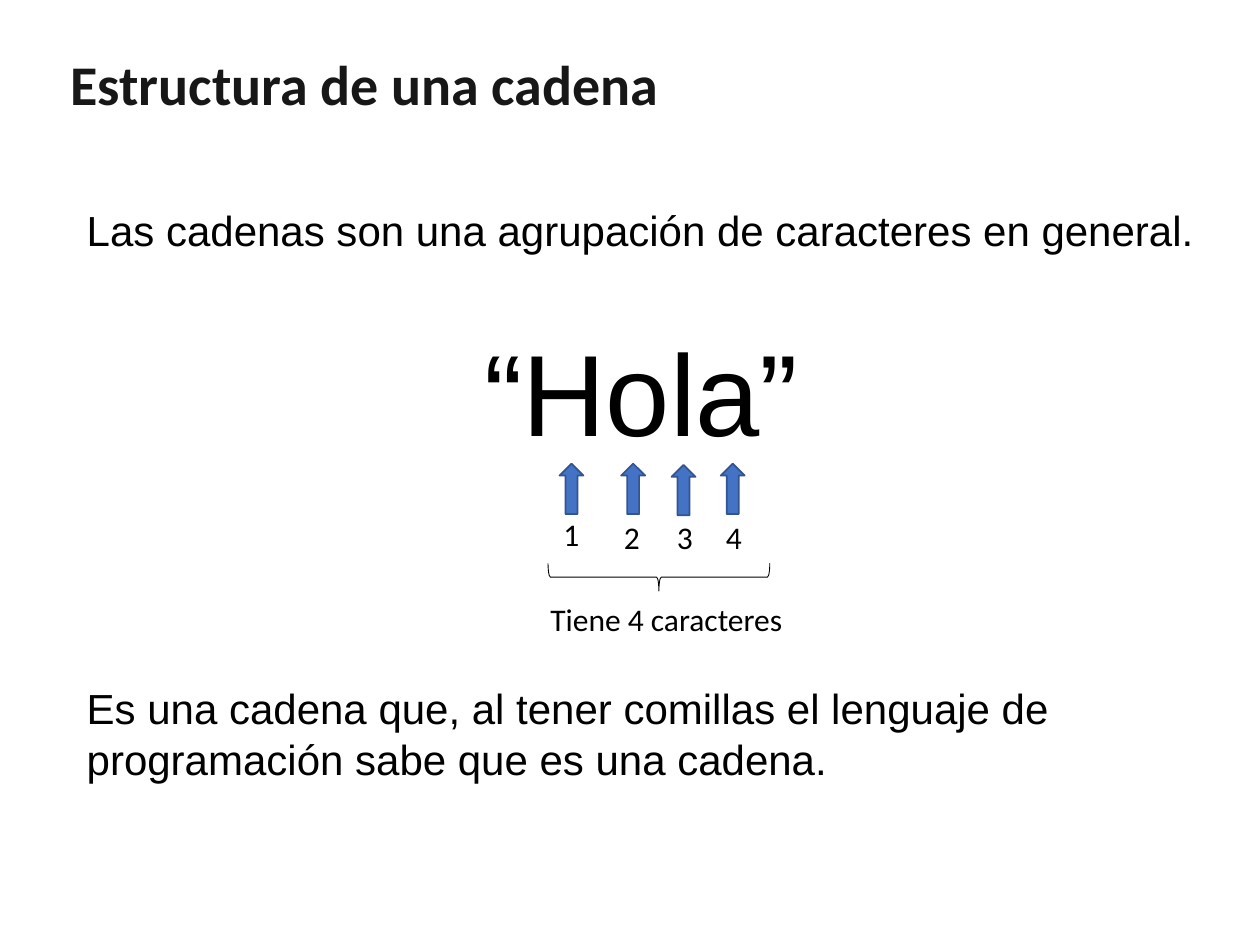
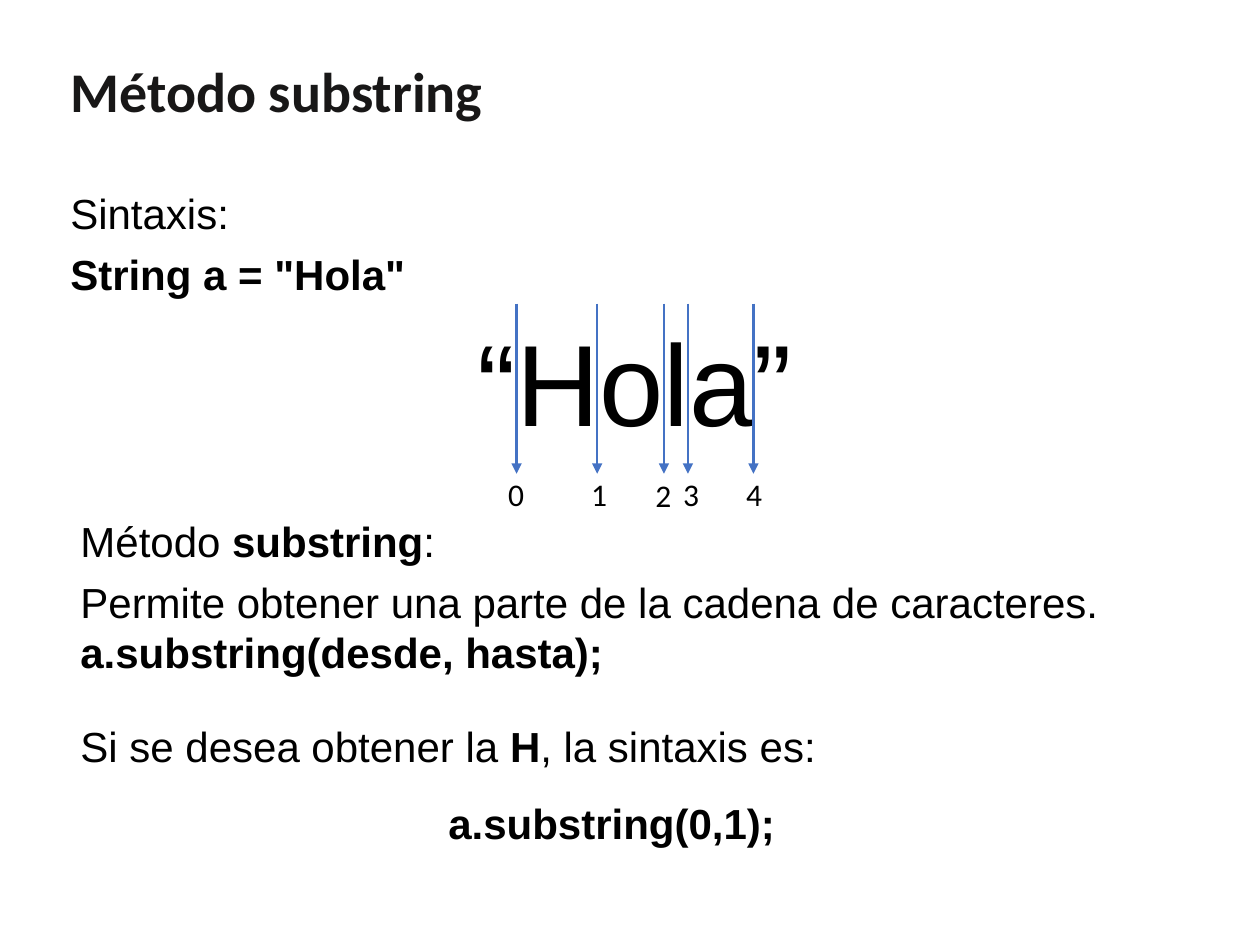
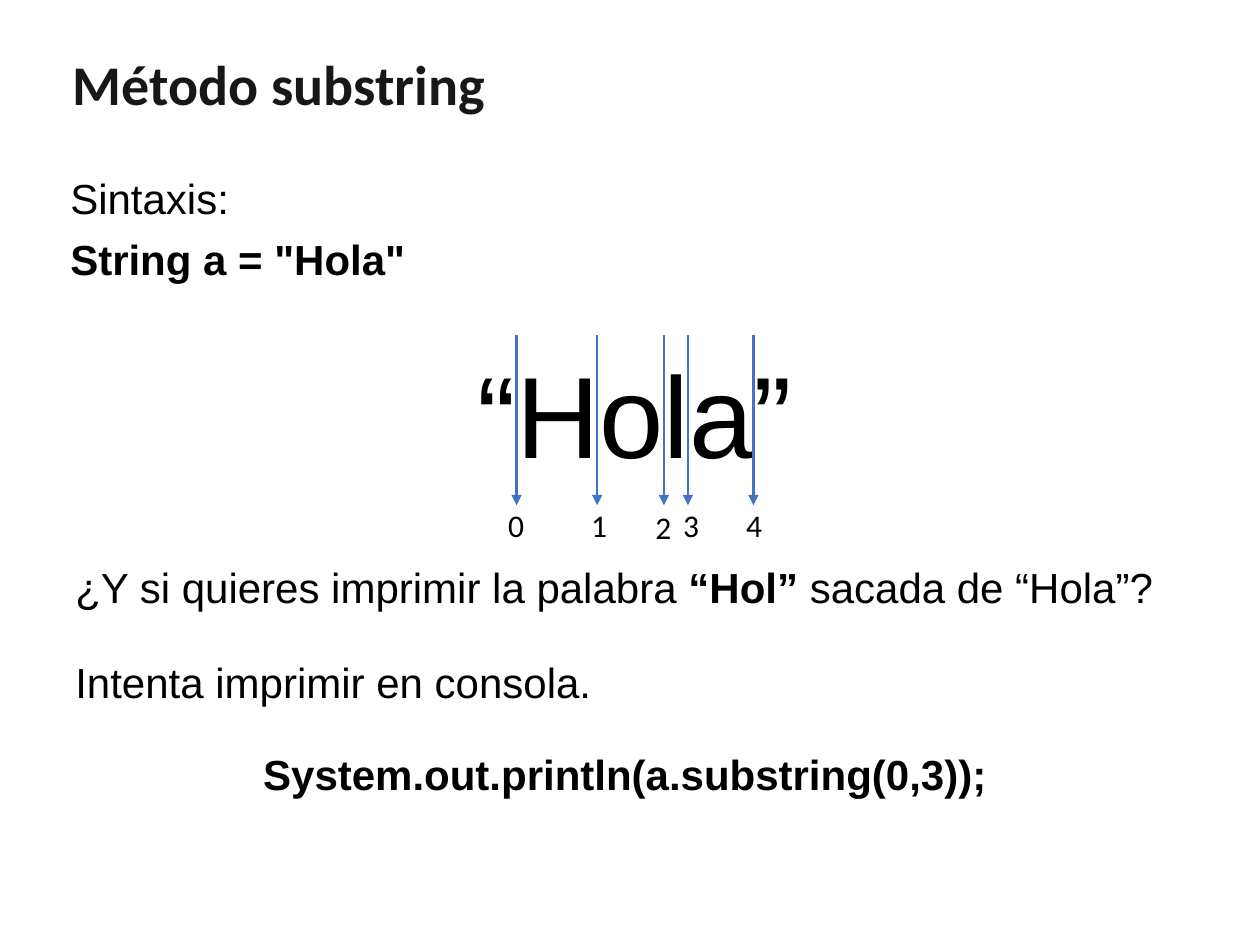
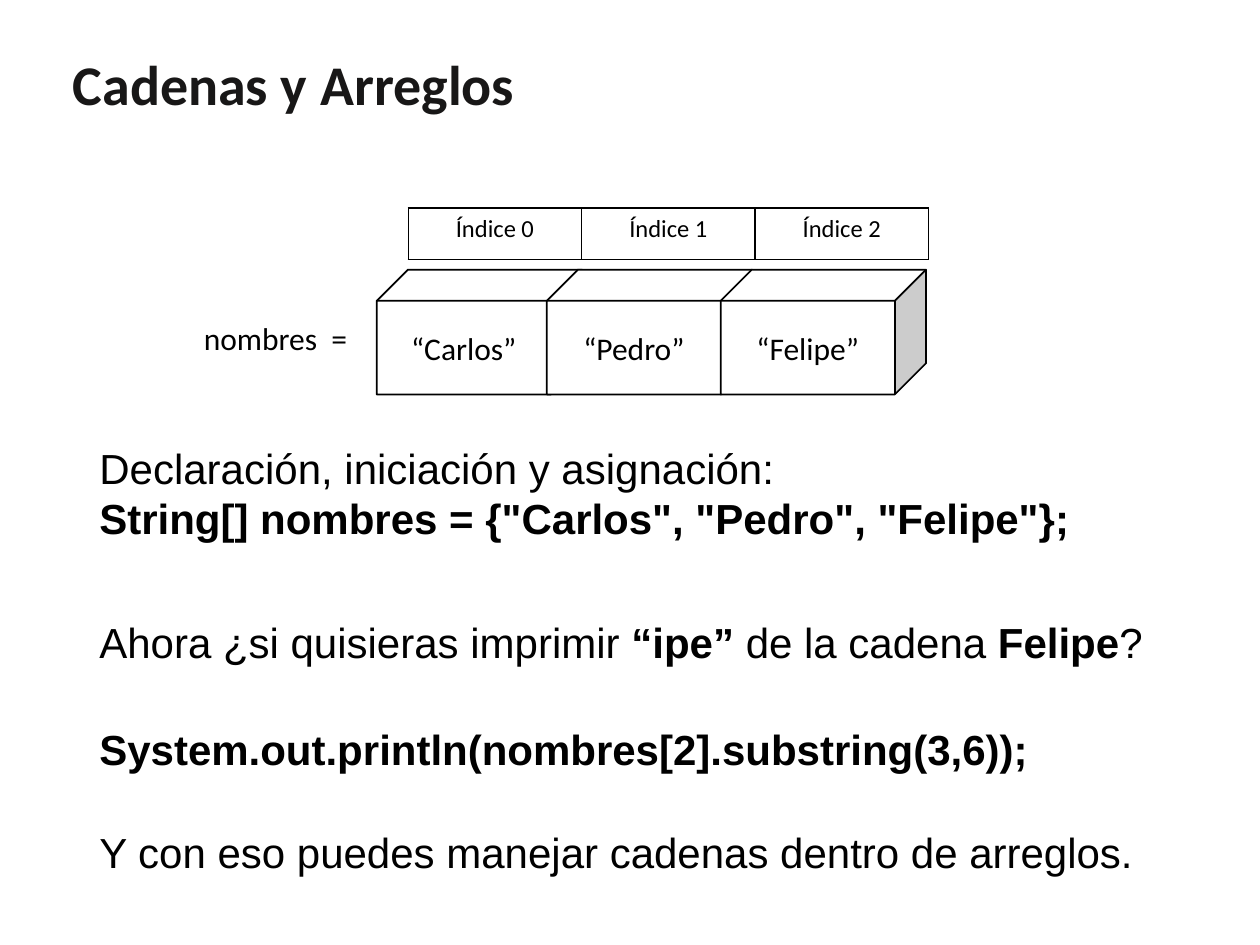
from dataclasses import dataclass

from lxml.etree import SubElement
from pptx import Presentation
from pptx.dml.color import RGBColor
from pptx.enum.shapes import MSO_CONNECTOR, MSO_SHAPE
from pptx.enum.text import MSO_ANCHOR, MSO_AUTO_SIZE, PP_ALIGN
from pptx.oxml.ns import qn
from pptx.util import Inches, Pt


@dataclass(frozen=True)
class Theme:
    """Colours, fonts and type sizes shared by all slides."""

    title_color: RGBColor = RGBColor(0x18, 0x17, 0x17)
    text_color: RGBColor = RGBColor(0, 0, 0)
    white: RGBColor = RGBColor(255, 255, 255)
    accent: RGBColor = RGBColor(0x44, 0x72, 0xC4)
    accent_dark: RGBColor = RGBColor(0x32, 0x54, 0x91)
    body_font: str = "Arial"
    label_font: str = "Calibri"
    title_size: int = 32
    body_size: int = 24
    word_size: int = 66
    label_size: int = 18
    index_size: int = 14


THEME = Theme()
BODY_WIDTH = 9
BODY_SPACE = 6


def format_run(run, size, font, color=THEME.text_color, bold=False):
    """Set the type of one run."""
    run.font.size = Pt(size)
    run.font.name = font
    run.font.color.rgb = color
    run.font.bold = bold


def add_slide(presentation, title, left=0.48, top=0.34, width=3.5):
    """Add a blank slide with its title."""
    slide = presentation.slides.add_slide(presentation.slide_layouts[6])
    box = slide.shapes.add_textbox(Inches(left), Inches(top), Inches(width), Inches(0.64))
    text_frame = box.text_frame
    text_frame.text = title
    text_frame.word_wrap = False
    text_frame.auto_size = MSO_AUTO_SIZE.SHAPE_TO_FIT_TEXT
    format_run(text_frame.paragraphs[0].runs[0], THEME.title_size, THEME.label_font, THEME.title_color, True)
    return slide


def add_body(slide, left, top, width, height, paragraphs, size=THEME.body_size, align=None):
    """Add paragraphs given as (space before, text), with ** around bold words."""
    box = slide.shapes.add_textbox(Inches(left), Inches(top), Inches(width), Inches(height))
    text_frame = box.text_frame
    text_frame.word_wrap = True
    text_frame.margin_top = text_frame.margin_bottom = Inches(0.1)
    for index, (space, text) in enumerate(paragraphs):
        paragraph = text_frame.add_paragraph() if index else text_frame.paragraphs[0]
        paragraph.space_before = Pt(space)
        paragraph.alignment = align
        for part, words in enumerate(text.split("**")):
            if words:
                run = paragraph.add_run()
                run.text = words
                format_run(run, size, THEME.body_font, bold=part % 2 == 1)


def add_word(slide, left, top):
    """Add the large sample string."""
    add_body(slide, left, top, BODY_WIDTH, 1.28, [(BODY_SPACE, "“Hola”")], THEME.word_size, PP_ALIGN.CENTER)


def add_label(shapes, text, left, top, width=0.19, align=None):
    """Add a small label."""
    box = shapes.add_textbox(Inches(left), Inches(top), Inches(width), Inches(0.4))
    text_frame = box.text_frame
    text_frame.text = text
    text_frame.word_wrap = True
    text_frame.auto_size = MSO_AUTO_SIZE.SHAPE_TO_FIT_TEXT
    text_frame.paragraphs[0].alignment = align
    format_run(text_frame.paragraphs[0].runs[0], THEME.label_size, THEME.label_font)


def add_figure(shapes, preset, left, top, width, height, fill=None, line=THEME.text_color, line_width=1):
    """Add a preset shape, unfilled when no fill is given."""
    shape = shapes.add_shape(preset, Inches(left), Inches(top), Inches(width), Inches(height))
    shape.shadow.inherit = False
    if fill is None:
        shape.fill.background()
    else:
        shape.fill.solid()
        shape.fill.fore_color.rgb = fill
    shape.line.color.rgb = line
    shape.line.width = Pt(line_width)
    return shape


def add_down_arrow(shapes, x, top, bottom):
    """Add a vertical line with an arrowhead at its foot."""
    connector = shapes.add_connector(MSO_CONNECTOR.STRAIGHT, Inches(x), Inches(top), Inches(x), Inches(bottom))
    connector.line.color.rgb = THEME.accent
    connector.line.width = Pt(1.25)
    SubElement(connector.line._get_or_add_ln(), qn("a:tailEnd"), type="triangle")
    SubElement(connector._element.spPr, qn("a:effectLst"))


def add_character_count(slide):
    """Number the characters of the word and brace their total."""
    shapes = slide.shapes.add_group_shape().shapes
    arrows = [(4.44, 3.68), (4.93, 3.68), (5.33, 3.69), (5.72, 3.68)]
    numbers = [(4.38, 4.04), (4.86, 4.06), (5.28, 4.06), (5.67, 4.06)]
    for left, top in arrows:
        add_figure(shapes, MSO_SHAPE.UP_ARROW, left, top, 0.19, 0.4, THEME.accent, THEME.accent_dark)
    for number, (left, top) in enumerate(numbers, 1):
        add_label(shapes, str(number), left, top)
    brace = add_figure(shapes, MSO_SHAPE.LEFT_BRACE, 5.12, 3.7, 0.22, 1.76, line_width=0.5)
    brace.rotation = 270
    add_label(shapes, "Tiene 4 caracteres", 4.27, 4.71, 2.13)


def add_cut_positions(slide, top):
    """Show the word with the numbered positions between its characters."""
    add_word(slide, 0.54, top - 0.04)
    shapes = slide.shapes.add_group_shape().shapes
    cuts = [(4.1, 3.94), (4.74, 4.6), (5.27, 5.11), (5.46, 5.33), (5.98, 5.83)]
    for x, _ in cuts:
        add_down_arrow(shapes, x, top, top + 1.35)
    for number, (_, left) in enumerate(cuts):
        add_label(shapes, str(number), left, top + (1.32 if number == 2 else 1.31))


def add_syntax(slide, top):
    """Add the declaration of the sample string."""
    lines = [(BODY_SPACE, "Sintaxis:"), (BODY_SPACE, '**String a = "Hola"**')]
    add_body(slide, 0.46, top, BODY_WIDTH, 1.31, lines)


def set_cell_borders(cell):
    """Draw thin black lines around a cell."""
    properties = cell._tc.get_or_add_tcPr()
    for position, side in enumerate(("a:lnL", "a:lnR", "a:lnT", "a:lnB")):
        line = SubElement(properties, qn(side), w=str(Pt(1)))
        fill = SubElement(line, qn("a:solidFill"))
        SubElement(fill, qn("a:srgbClr"), val=str(THEME.text_color))
        properties.insert(position, line)


def add_index_table(slide, count):
    """Add the row of array indexes."""
    frame = slide.shapes.add_table(1, count, Inches(3.24), Inches(1.65), Inches(4.13), Inches(0.41))
    table = frame.table
    table.first_row = table.horz_banding = False
    for index, cell in enumerate(table.rows[0].cells):
        cell.text = f"Índice {index}"
        cell.fill.background()
        set_cell_borders(cell)
        paragraph = cell.text_frame.paragraphs[0]
        paragraph.alignment = PP_ALIGN.CENTER
        format_run(paragraph.runs[0], THEME.index_size, THEME.label_font)


def add_array_cube(slide, text, left):
    """Add one element of the array."""
    cube = add_figure(slide.shapes, MSO_SHAPE.CUBE, left, 2.14, 1.63, 0.99, THEME.white)
    text_frame = cube.text_frame
    text_frame.text = text
    text_frame.vertical_anchor = MSO_ANCHOR.MIDDLE
    paragraph = text_frame.paragraphs[0]
    paragraph.alignment = PP_ALIGN.CENTER
    format_run(paragraph.runs[0], THEME.label_size, THEME.label_font)


def build_structure(presentation):
    """Build the slide on the structure of a string."""
    slide = add_slide(presentation, "Estructura de una cadena", left=0.46, width=4.91)
    add_body(slide, 0.59, 1.52, BODY_WIDTH, 1.19, [
        (BODY_SPACE, "Las cadenas son una agrupación de caracteres en general.")])
    add_body(slide, 0.59, 5.32, BODY_WIDTH, 1.31, [
        (BODY_SPACE, "Es una cadena que, al tener comillas el lenguaje de programación sabe que es una cadena.")])
    add_word(slide, 0.59, 2.45)
    add_character_count(slide)


def build_substring(presentation):
    """Build the slide that explains substring."""
    slide = add_slide(presentation, "Método substring", left=0.46, top=0.4)
    add_syntax(slide, 1.39)
    add_body(slide, 0.54, 3.99, BODY_WIDTH, 2.5, [
        (BODY_SPACE, "Método **substring**:"),
        (BODY_SPACE, "Permite obtener una parte de la cadena de caracteres. **a.substring(desde, hasta);**"),
        (25, "Si se desea obtener la **H**, la sintaxis es:")])
    add_cut_positions(slide, 2.41)
    add_body(slide, 3.46, 6.23, 3.01, 0.59, [(BODY_SPACE, "**a.substring(0,1);**")])


def build_exercise(presentation):
    """Build the slide with the printing exercise."""
    slide = add_slide(presentation, "Método substring")
    add_body(slide, 0.5, 4.36, BODY_WIDTH, 1.34, [
        (BODY_SPACE, "¿Y si quieres imprimir la palabra **“Hol” **sacada de “Hola”?"),
        (25, "Intenta imprimir en consola.")])
    add_cut_positions(slide, 2.66)
    add_body(slide, 1.99, 5.84, 5.95, 0.85, [(BODY_SPACE, "**System.out.println(a.substring(0,3));**")])
    add_syntax(slide, 1.27)


def build_arrays(presentation):
    """Build the slide on strings inside arrays."""
    slide = add_slide(presentation, "Cadenas y Arreglos", width=4.39)
    add_body(slide, 0.69, 3.41, BODY_WIDTH, 2.07, [
        (0, "Declaración, iniciación y asignación:"),
        (0, '**String[] nombres = {"Carlos", "Pedro", "Felipe"};**'),
        (42, "Ahora ¿si quisieras imprimir **“ipe” **de la cadena **Felipe**?")])
    elements = [("“Carlos”", 2.99), ("“Pedro”", 4.34), ("“Felipe”", 5.72)]
    add_index_table(slide, len(elements))
    add_label(slide.shapes, "nombres  =", 1.52, 2.48, 1.47, PP_ALIGN.JUSTIFY)
    for text, left in elements:
        add_array_cube(slide, text, left)
    add_body(slide, 0.69, 5.64, BODY_WIDTH, 1.39, [
        (0, "**System.out.println(nombres[2].substring(3,6));**"),
        (30, "Y con eso puedes manejar cadenas dentro de arreglos.")], align=PP_ALIGN.JUSTIFY)


def main():
    """Build and save the presentation."""
    presentation = Presentation()
    presentation.slide_width = Inches(10)
    presentation.slide_height = Inches(7.5)
    build_structure(presentation)
    build_substring(presentation)
    build_exercise(presentation)
    build_arrays(presentation)
    presentation.save("out.pptx")


if __name__ == "__main__":
    main()
